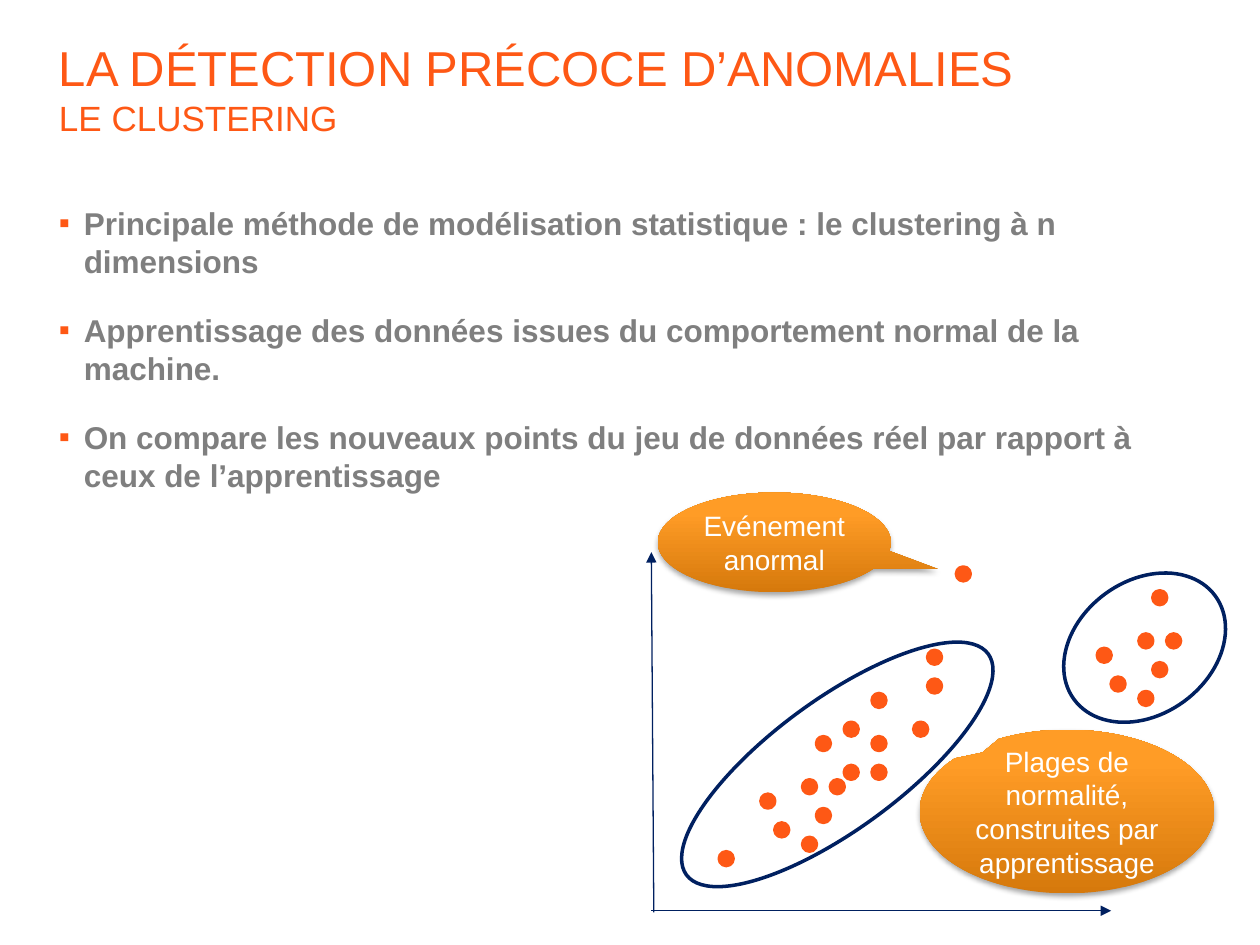
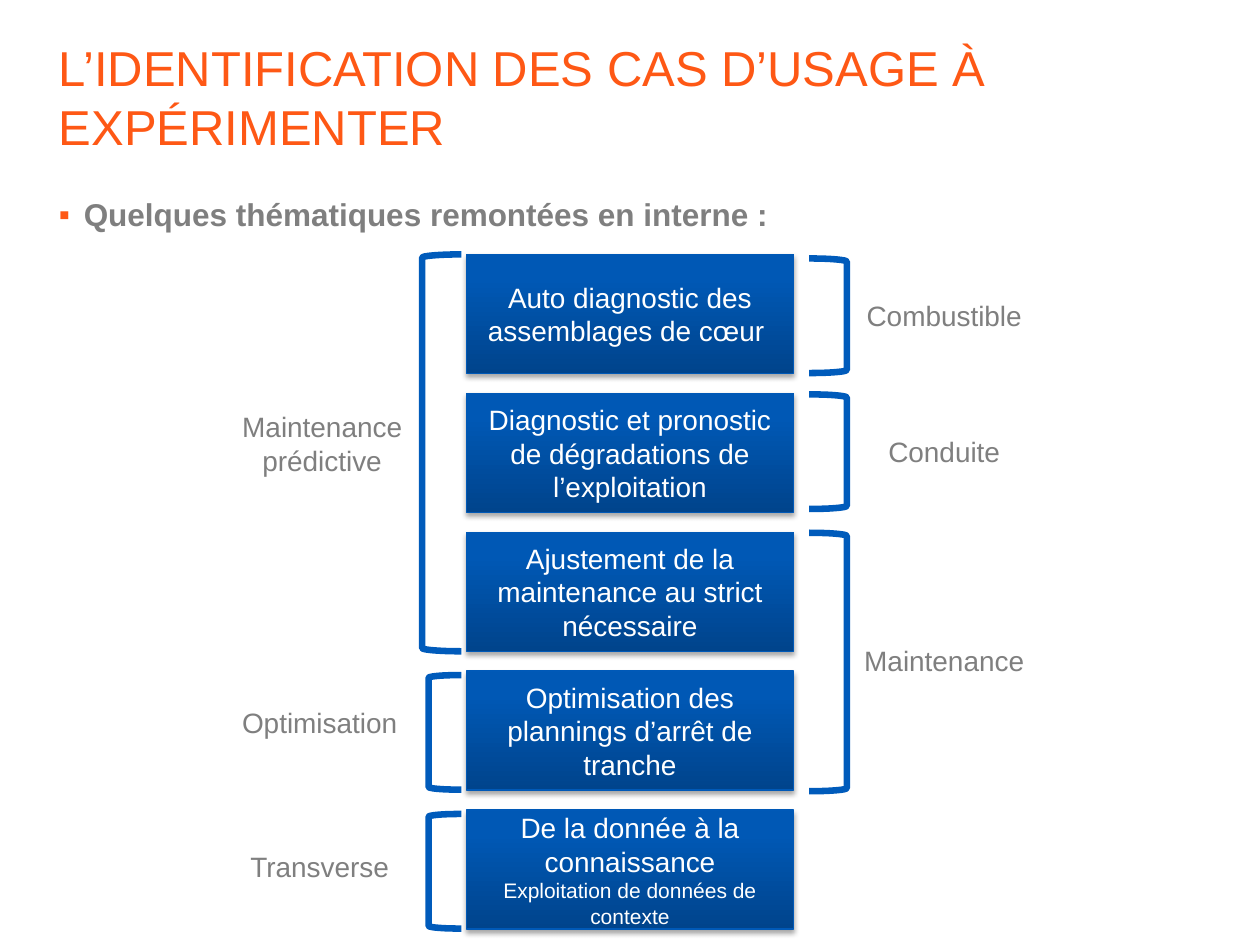
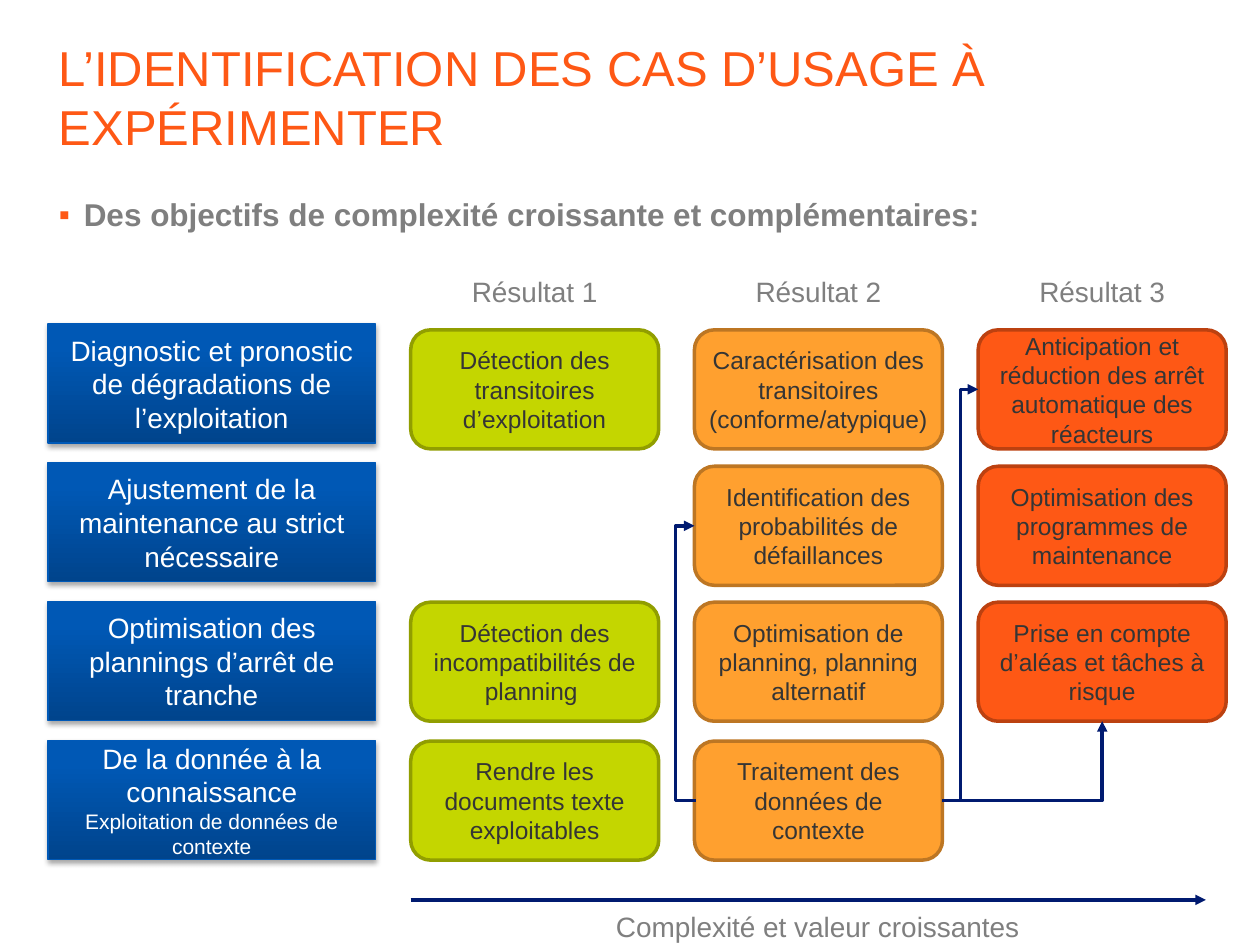
from dataclasses import dataclass
from typing import NamedTuple

from lxml.etree import SubElement
from pptx import Presentation
from pptx.dml.color import RGBColor
from pptx.enum.shapes import MSO_CONNECTOR, MSO_SHAPE
from pptx.enum.text import MSO_ANCHOR, MSO_AUTO_SIZE, PP_ALIGN
from pptx.oxml.ns import qn
from pptx.util import Cm, Pt


@dataclass(frozen=True)
class Theme:
    font: str = "Arial"
    orange: str = "FE5815"
    grey: str = "7F7F7F"
    white: str = "FFFFFF"
    ink: str = "353535"
    axis: str = "002060"
    arrow: str = "001A70"
    bracket: str = "005BBB"
    box_line: str = "0059B7"
    blue_gradient: tuple[str, str] = ("00448C", "0058B5")
    amber_gradient: tuple[str, str] = ("D6790C", "FF9C26")
    title: int = 28
    subtitle: int = 20
    body: int = 18
    label: int = 16
    result: int = 14
    detail: int = 12


THEME = Theme()
MARGIN = 1.09


class Box(NamedTuple):
    left: float
    top: float
    width: float
    height: float


class Callout(NamedTuple):
    text: str
    box: Box
    tip: tuple[float, float]


class Cluster(NamedTuple):
    """Points are counted in grid steps from the origin."""
    origin: tuple[float, float]
    points: list[tuple[int, int]]
    outline: Box | None = None


class Group(NamedTuple):
    """A bracket spanning some boxes, and its label."""
    text: str
    bracket: Box
    label: Box
    on_right: bool = False


class Level(NamedTuple):
    name: str
    fill: str
    line: str
    results: list[str]


DOT = 0.28
STEP_X, STEP_Y = 0.28, 0.29
TILT = 323.8
CLUSTERS = [
    Cluster((14.5, 13.11),
            [(4, 12), (6, 13), (7, 11), (6, 9), (7, 6), (9, 5), (11, 6), (11, 8),
             (9, 8), (8, 9), (11, 3), (15, 0), (15, 2), (14, 5), (3, 10), (0, 14)],
            Box(13.11, 14.1, 7.54, 2.62)),
    Cluster((22.12, 11.91),
            [(1, 6), (3, 7), (4, 5), (3, 3), (4, 0), (5, 3), (0, 4)],
            Box(21.31, 11.71, 3.53, 2.69)),
    Cluster((19.28, 11.43), [(0, 0)]),
]
CALLOUTS = [
    Callout("Plages de normalité, construites par apprentissage",
            Box(18.54, 14.71, 5.94, 3.3), (-0.287, -0.36)),
    Callout("Evénement anormal", Box(13.26, 9.93, 4.7, 2.01), (0.7, 0.266)),
]

USE_CASES = [
    "Auto diagnostic des assemblages de cœur ",
    "Diagnostic et pronostic de dégradations de l’exploitation",
    "Ajustement de la maintenance au strict nécessaire",
    "Optimisation des plannings d’arrêt de tranche",
    "De la donnée à la connaissance\nExploitation de données de contexte",
]
USE_CASE_WIDTH, BOX_HEIGHT, USE_CASE_PITCH = 6.6, 2.4, 2.8
LABEL_HEIGHT = 0.69
GROUPS = [
    Group("Maintenance prédictive", Box(8.51, 5.13, 0.79, 8), Box(4.5, 8.26, 3.99, 1.37)),
    Group("Optimisation", Box(8.64, 13.61, 0.66, 2.31), Box(4.5, 14.22, 3.89, LABEL_HEIGHT)),
    Group("Transverse", Box(8.64, 16.41, 0.66, 2.31), Box(4.5, 17.12, 3.89, LABEL_HEIGHT)),
    Group("Combustible", Box(16.31, 5.21, 0.76, 2.31), Box(17.09, 6.02, 3.89, LABEL_HEIGHT), True),
    Group("Conduite", Box(16.31, 7.95, 0.76, 2.31), Box(17.09, 8.76, 3.89, LABEL_HEIGHT), True),
    Group("Maintenance", Box(16.31, 10.74, 0.76, 5.21), Box(17.09, 12.98, 3.89, LABEL_HEIGHT), True),
]

LEVELS = [
    Level("Résultat 1", "C4D600", "919E00", [
        "Détection des transitoires d’exploitation",
        "",
        "Détection des incompatibilités de planning ",
        "Rendre les documents texte exploitables"]),
    Level("Résultat 2", "FFA02F", "BD7623", [
        "Caractérisation des transitoires\n(conforme/atypique)",
        "Identification des probabilités de défaillances",
        "Optimisation de planning, planning alternatif",
        "Traitement des données de contexte"]),
    Level("Résultat 3", "FE5815", "BC4110", [
        "Anticipation et réduction des arrêt automatique des réacteurs",
        "Optimisation des programmes de maintenance",
        "Prise en compte d’aléas et tâches à risque",
        ""]),
]
LEVEL_LEFT, LEVEL_PITCH, LEVEL_WIDTH = 8.28, 5.72, 5.0
LEVEL_LABEL_WIDTH = 3.48
RESULT_TOPS = (6.65, 9.4, 12.14, 14.94)


def rgb(color: str) -> RGBColor:
    return RGBColor.from_string(color)


def lengths(box: Box) -> list[Cm]:
    return [Cm(value) for value in box]


def set_font(target, size: int, color: str, bold: bool = False) -> None:
    font = target.font
    font.name, font.size, font.bold = THEME.font, Pt(size), bold
    font.color.rgb = rgb(color)


def set_frame(sp, inset_y: float = 0):
    tf = sp.text_frame
    tf.word_wrap = True
    tf.margin_left = tf.margin_right = Cm(0.1)
    tf.margin_top = tf.margin_bottom = Cm(inset_y)
    return tf


def write_centred(tf, text: str, size: int, color: str, detail: int | None = None) -> None:
    """Write one paragraph per line; those after the first take the detail size."""
    tf.text = text
    for i, p in enumerate(tf.paragraphs):
        p.alignment = PP_ALIGN.CENTER
        set_font(p, detail if i and detail else size, color)


def add_title(slide, title: str, subtitle: str = "") -> None:
    sp = slide.shapes.add_textbox(*lengths(Box(MARGIN, 0.76, 23.22, 2.36)))
    p = set_frame(sp).paragraphs[0]
    r = p.add_run()
    r.text = title
    set_font(r, THEME.title, THEME.orange)
    if subtitle:
        p.add_line_break()
        r = p.add_run()
        r.text = subtitle
        set_font(r, THEME.subtitle, THEME.orange)


def add_bullets(slide, texts: list[str], box: Box) -> None:
    tf = set_frame(slide.shapes.add_textbox(*lengths(box)))
    tf.text = "\n".join(texts)
    for i, p in enumerate(tf.paragraphs):
        pPr = p._p.get_or_add_pPr()
        pPr.set("marL", str(Cm(0.5)))
        pPr.set("indent", str(-Cm(0.5)))
        if i:
            p.space_before = Pt(18)
        SubElement(SubElement(pPr, qn("a:buClr")), qn("a:srgbClr"), val=THEME.orange)
        SubElement(pPr, qn("a:buFont"), typeface=THEME.font)
        SubElement(pPr, qn("a:buChar"), char="▪")
        set_font(p, THEME.body, THEME.grey, bold=True)


def add_label(slide, text: str, box: Box) -> None:
    tf = set_frame(slide.shapes.add_textbox(*lengths(box)))
    tf.auto_size = MSO_AUTO_SIZE.SHAPE_TO_FIT_TEXT
    write_centred(tf, text, THEME.label, THEME.grey)


def add_shape(slide, kind: MSO_SHAPE, box: Box, fill: str | None = None,
              line: str | None = None, width: float = 2):
    sp = slide.shapes.add_shape(kind, *lengths(box))
    sp.shadow.inherit = False
    if fill:
        sp.fill.solid()
        sp.fill.fore_color.rgb = rgb(fill)
    else:
        sp.fill.background()
    if line:
        sp.line.color.rgb = rgb(line)
        sp.line.width = Pt(width)
    else:
        sp.line.fill.background()
    return sp


def set_box_text(sp, text: str, size: int, color: str, detail: int | None = None) -> None:
    tf = set_frame(sp, 0.1)
    tf.vertical_anchor = MSO_ANCHOR.MIDDLE
    write_centred(tf, text, size, color, detail)


def add_glossy_shape(slide, kind: MSO_SHAPE, box: Box, gradient: tuple[str, str],
                     text: str, line: str | None = None):
    """Add a shape with a vertical gradient, a soft shadow and white text."""
    sp = add_shape(slide, kind, box, line=line, width=0.75)
    sp.fill.gradient()
    sp.fill.gradient_angle = 90
    for stop, color, position in zip(sp.fill.gradient_stops, gradient, (0, 0.8)):
        stop.color.rgb = rgb(color)
        stop.position = position
    effects = sp._element.spPr.find(qn("a:effectLst"))
    shadow = SubElement(effects, qn("a:outerShdw"), blurRad=str(Pt(3.1)),
                        dist=str(Pt(1.8)), dir="5400000", rotWithShape="0")
    SubElement(SubElement(shadow, qn("a:srgbClr"), val="000000"), qn("a:alpha"), val="35000")
    set_box_text(sp, text, THEME.label, THEME.white, THEME.detail)
    return sp


def add_use_cases(slide, texts: list[str], left: float, top: float) -> None:
    for i, text in enumerate(texts):
        box = Box(left, top + i * USE_CASE_PITCH, USE_CASE_WIDTH, BOX_HEIGHT)
        add_glossy_shape(slide, MSO_SHAPE.RECTANGLE, box, THEME.blue_gradient, text,
                         THEME.box_line)


def add_arrow(slide, start: tuple[float, float], end: tuple[float, float], color: str,
              width: float, kind: MSO_CONNECTOR = MSO_CONNECTOR.STRAIGHT, head: str = "tailEnd"):
    cxn = slide.shapes.add_connector(kind, *(Cm(v) for v in (*start, *end)))
    cxn.line.color.rgb = rgb(color)
    cxn.line.width = Pt(width)
    SubElement(cxn.line._get_or_add_ln(), qn(f"a:{head}"), type="triangle")
    SubElement(cxn._element.spPr, qn("a:effectLst"))
    return cxn


def add_joined_elbow(slide, source, source_side: int, target, target_side: int):
    cxn = add_arrow(slide, (0, 0), (1, 1), THEME.arrow, 2, MSO_CONNECTOR.ELBOW)
    cxn.begin_connect(source, source_side)
    cxn.end_connect(target, target_side)
    return cxn


def add_left_loop(slide, left: float, bottom: float, top: float, lane: float) -> None:
    """Arrow that leaves leftwards at the bottom and comes back rightwards at the top."""
    width = 0.03
    cxn = add_arrow(slide, (left, top), (left + width, bottom), THEME.arrow, 2,
                    MSO_CONNECTOR.ELBOW)
    spPr = cxn._element.spPr
    spPr.xfrm.set("rot", "10800000")
    bend = round((left + width - lane) / width * 100000)
    guides = spPr.find(qn("a:prstGeom")).find(qn("a:avLst"))
    SubElement(guides, qn("a:gd"), name="adj1", fmla=f"val {bend}")


def build_clustering(slide) -> None:
    add_title(slide, "LA DÉTECTION PRÉCOCE D’ANOMALIES", "LE CLUSTERING")
    add_bullets(slide, [
        "Principale méthode de modélisation statistique : le clustering à n dimensions",
        "Apprentissage des données issues du comportement normal de la machine.",
        "On compare les nouveaux points du jeu de données réel par rapport à ceux de "
        "l’apprentissage",
    ], Box(MARGIN, 4.11, 23.37, 7.59))
    add_arrow(slide, (13.13, 18.36), (22.4, 18.36), THEME.axis, 0.75)
    add_arrow(slide, (13.18, 18.39), (13.13, 11.13), THEME.axis, 0.75)
    for cluster in CLUSTERS:
        x, y = cluster.origin
        for column, row in cluster.points:
            dot = Box(x + column * STEP_X, y + row * STEP_Y, DOT, DOT)
            add_shape(slide, MSO_SHAPE.OVAL, dot, THEME.orange, THEME.orange)
        if cluster.outline:
            sp = add_shape(slide, MSO_SHAPE.OVAL, cluster.outline, line=THEME.axis)
            sp.rotation = TILT
    for callout in CALLOUTS:
        sp = add_glossy_shape(slide, MSO_SHAPE.OVAL_CALLOUT, callout.box,
                              THEME.amber_gradient, callout.text)
        sp.adjustments[0], sp.adjustments[1] = callout.tip


def add_use_case_heading(slide, text: str) -> None:
    add_title(slide, "L’IDENTIFICATION DES CAS D’USAGE À EXPÉRIMENTER")
    add_bullets(slide, [text], Box(MARGIN, 3.94, 23.22, 11.61))


def build_themes(slide) -> None:
    add_use_case_heading(slide, "Quelques thématiques remontées en interne :")
    add_use_cases(slide, USE_CASES, 9.4, 5.13)
    for group in GROUPS:
        sp = add_shape(slide, MSO_SHAPE.LEFT_BRACKET, group.bracket, line=THEME.bracket,
                       width=3.75)
        sp.rotation = 180 if group.on_right else 0
        add_label(slide, group.text, group.label)


def build_goals(slide) -> None:
    add_use_case_heading(slide, "Des objectifs de complexité croissante et complémentaires:")
    add_use_cases(slide, USE_CASES[1:], 0.97, 6.53)
    results = {}
    for column, level in enumerate(LEVELS):
        left = LEVEL_LEFT + column * LEVEL_PITCH
        label_left = left + (LEVEL_WIDTH - LEVEL_LABEL_WIDTH) / 2
        add_label(slide, level.name, Box(label_left, 5.54, LEVEL_LABEL_WIDTH, LABEL_HEIGHT))
        for row, (text, top) in enumerate(zip(level.results, RESULT_TOPS)):
            if text:
                sp = add_shape(slide, MSO_SHAPE.ROUNDED_RECTANGLE,
                               Box(left, top, LEVEL_WIDTH, BOX_HEIGHT), level.fill, level.line)
                set_box_text(sp, text, THEME.result, THEME.ink)
                results[column, row] = sp

    context = results[1, 3]
    corner = add_joined_elbow(slide, context, 3, results[2, 2], 2)
    corner._element.spPr.find(qn("a:prstGeom")).set("prst", "bentConnector2")
    add_joined_elbow(slide, context, 3, results[2, 0], 1)
    middle = BOX_HEIGHT / 2
    add_left_loop(slide, LEVEL_LEFT + LEVEL_PITCH, RESULT_TOPS[3] + middle,
                  RESULT_TOPS[1] + middle, 13.62)
    add_arrow(slide, (LEVEL_LEFT, 18.14), (24.31, 18.14), THEME.arrow, 2)
    add_label(slide, "Complexité et valeur croissantes", Box(11.61, 18.34, 9.75, LABEL_HEIGHT))


def main() -> None:
    prs = Presentation()
    prs.slide_width, prs.slide_height = Cm(25.4), Cm(19.05)
    for build in (build_clustering, build_themes, build_goals):
        build(prs.slides.add_slide(prs.slide_layouts[6]))
    prs.save("out.pptx")


if __name__ == "__main__":
    main()
